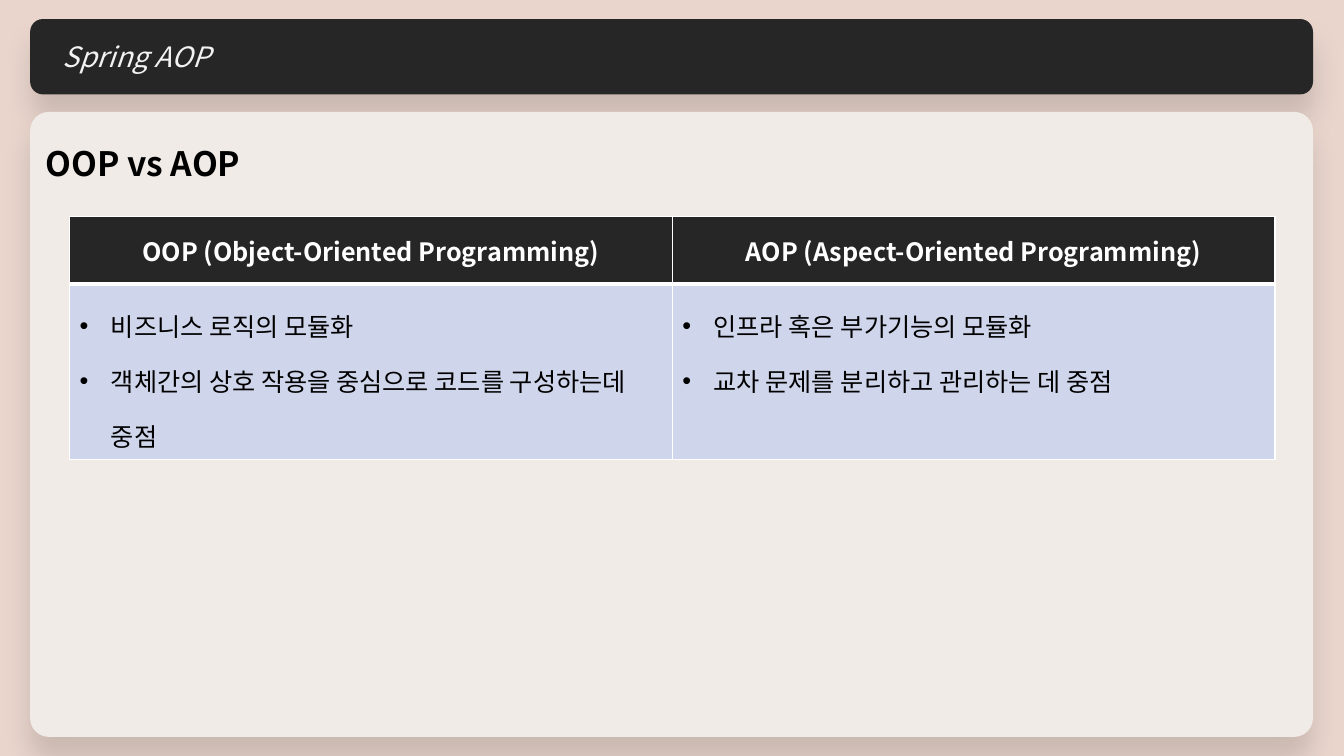
from lxml.etree import SubElement
from pptx import Presentation
from pptx.dml.color import RGBColor
from pptx.enum.shapes import MSO_SHAPE
from pptx.enum.text import MSO_ANCHOR, PP_ALIGN
from pptx.oxml.ns import qn
from pptx.util import Cm, Pt

FONT = "Noto Sans CJK KR"
BACKGROUND = RGBColor(0xE9, 0xD5, 0xCC)
DARK = RGBColor(0x26, 0x26, 0x26)
CREAM = RGBColor(0xF0, 0xEB, 0xE7)
LAVENDER = RGBColor(0xCF, 0xD5, 0xEA)
OFF_WHITE = RGBColor(0xF2, 0xF2, 0xF2)
WHITE = RGBColor(0xFF, 0xFF, 0xFF)
BLACK = RGBColor(0, 0, 0)

PANEL_LEFT, PANEL_WIDTH = Cm(0.76), Cm(32.33)
BULLET_INDENT = Cm(0.79)

COMPARISON = [
    ("OOP (Object-Oriented Programming)",
     ["비즈니스 로직의 모듈화",
      "객체간의 상호 작용을 중심으로 코드를 구성하는데 중점"]),
    ("AOP (Aspect-Oriented Programming)",
     ["인프라 혹은 부가기능의 모듈화",
      "교차 문제를 분리하고 관리하는 데 중점"]),
]


def add_element(parent, tag, **attributes):
    values = {name: str(value) for name, value in attributes.items()}
    return SubElement(parent, qn(tag), values)


def write_text(paragraph, text, size=18, color=BLACK, bold=False, italic=False,
               align=PP_ALIGN.LEFT, spacing=None, left=0, bullet=False):
    paragraph.alignment = align
    if spacing:
        paragraph.line_spacing = spacing
    properties = paragraph._p.get_or_add_pPr()
    properties.set("marL", str(left))
    properties.set("indent", str(-left if bullet else 0))
    if bullet:
        add_element(properties, "a:buFont", typeface="Arial")
        add_element(properties, "a:buChar", char="•")
    run = paragraph.add_run()
    run.text = text
    font = run.font
    font.name, font.size = FONT, Pt(size)
    font.bold, font.italic = bold, italic
    font.color.rgb = color
    add_element(run._r.get_or_add_rPr(), "a:ea", typeface=FONT)


def add_shadow(shape):
    shape.shadow.inherit = False
    effects = shape._element.spPr.find(qn("a:effectLst"))
    shadow = add_element(effects, "a:outerShdw", blurRad=Pt(19), dist=Pt(16),
                         dir=90 * 60000, algn="t", rotWithShape=0)
    color = add_element(shadow, "a:srgbClr", val=BLACK)
    add_element(color, "a:alpha", val=12000)


def add_panel(slide, top, height, fill, corner, anchor):
    shape = slide.shapes.add_shape(
        MSO_SHAPE.ROUNDED_RECTANGLE, PANEL_LEFT, top, PANEL_WIDTH, height)
    shape.adjustments[0] = corner
    shape.fill.solid()
    shape.fill.fore_color.rgb = fill
    shape.line.fill.background()
    add_shadow(shape)
    shape.text_frame.word_wrap = True
    shape.text_frame.vertical_anchor = anchor
    return shape.text_frame.paragraphs[0]


def format_cell(cell, fill, top=1, bottom=1):
    properties = cell._tc.get_or_add_tcPr()
    for side, width in (("L", 1), ("R", 1), ("T", top), ("B", bottom)):
        border = add_element(properties, f"a:ln{side}", w=Pt(width))
        add_element(add_element(border, "a:solidFill"), "a:srgbClr", val=WHITE)
    cell.fill.solid()
    cell.fill.fore_color.rgb = fill


def add_comparison(slide):
    table = slide.shapes.add_table(
        2, len(COMPARISON), Cm(1.75), Cm(5.46), Cm(30.38), Cm(6.12)).table
    table.rows[0].height, table.rows[1].height = Cm(1.7), Cm(4.42)
    for column, (heading, points) in enumerate(COMPARISON):
        header, body = table.cell(0, column), table.cell(1, column)
        format_cell(header, DARK, bottom=3)
        header.vertical_anchor = MSO_ANCHOR.MIDDLE
        write_text(header.text_frame.paragraphs[0], heading, color=WHITE,
                   bold=True, align=PP_ALIGN.CENTER)
        format_cell(body, LAVENDER, top=3)
        frame = body.text_frame
        for index, point in enumerate(points):
            paragraph = frame.add_paragraph() if index else frame.paragraphs[0]
            write_text(paragraph, point, spacing=1.5, left=BULLET_INDENT,
                       bullet=True)


def main():
    presentation = Presentation()
    presentation.slide_width, presentation.slide_height = Cm(33.87), Cm(19.05)
    slide = presentation.slides.add_slide(presentation.slide_layouts[6])
    slide.background.fill.solid()
    slide.background.fill.fore_color.rgb = BACKGROUND

    title = add_panel(slide, Cm(0.48), Cm(1.9), DARK, 0.17, MSO_ANCHOR.MIDDLE)
    write_text(title, "Spring AOP", size=20, color=OFF_WHITE, italic=True,
               left=Cm(0.48))
    heading = add_panel(slide, Cm(2.82), Cm(15.75), CREAM, 0.03, MSO_ANCHOR.TOP)
    write_text(heading, "OOP vs AOP", size=24, bold=True, spacing=1.5)
    add_comparison(slide)
    presentation.save("out.pptx")


if __name__ == "__main__":
    main()
